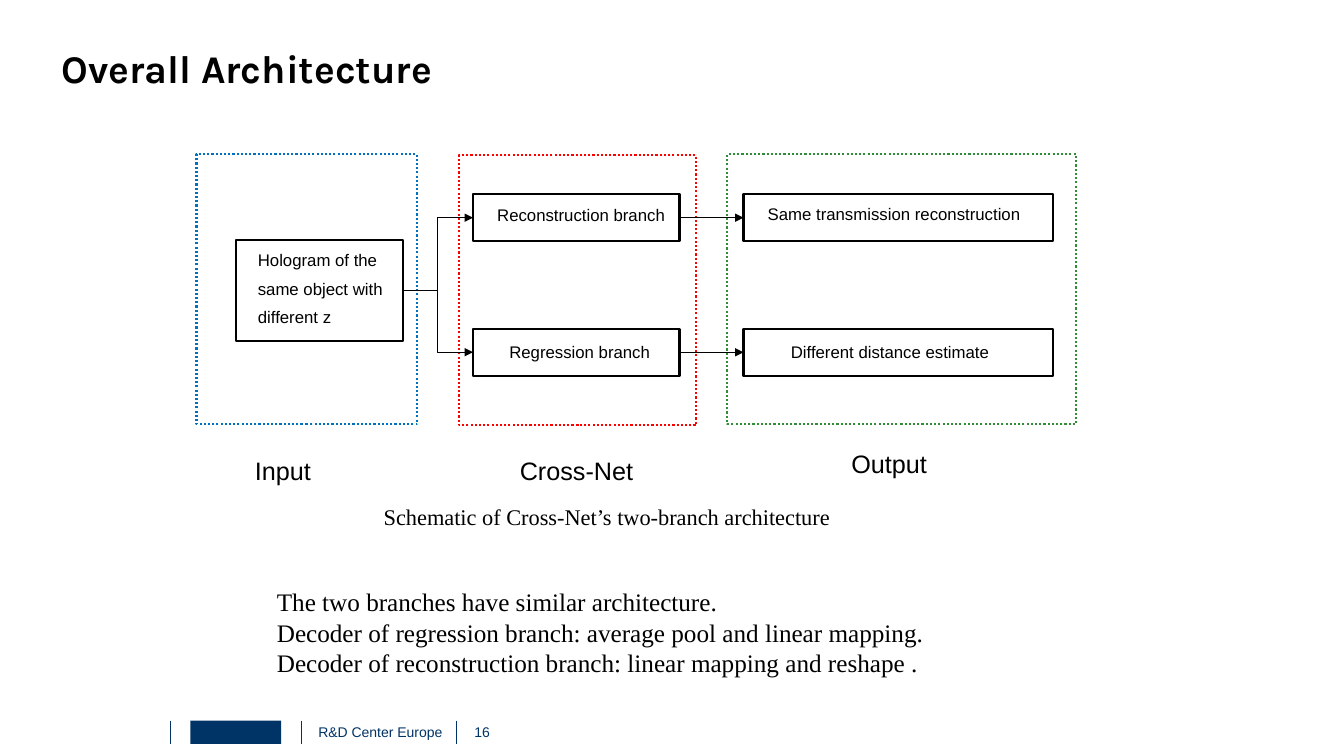
from dataclasses import dataclass

import pptx
import pptx.dml.color
import pptx.enum.dml
import pptx.enum.shapes
import pptx.enum.text
import pptx.oxml.ns
import pptx.util
from lxml import etree

CELL = 0.1  # inches; the slide is a grid of 133.4 columns by 75 rows
COLUMNS, ROWS = 133.4, 75
LEFT_SITE, RIGHT_SITE = 1, 3  # connection sites of a rectangle


@dataclass(frozen=True)
class Theme:
    ink: str = "000000"
    navy: str = "003366"
    input_blue: str = "0070C0"
    network_red: str = "FF0000"
    output_green: str = "318C3A"
    heading_font: str = "Karla"
    diagram_font: str = "Arial"
    prose_font: str = "Times New Roman"
    title_size: int = 28
    body_size: int = 18
    caption_size: int = 16
    box_size: int = 12
    footer_size: int = 10
    outline: float = 1.5
    arrow: float = 0.75
    divider: float = 0.25


THEME = Theme()


def cells(*counts):
    return [pptx.util.Inches(count * CELL) for count in counts]


def rgb(code):
    return pptx.dml.color.RGBColor.from_string(code)


def write(frame, text, *, size, font=THEME.diagram_font, color=THEME.ink, bold=False,
          inset=(0, 0), anchor="TOP", space_before=0):
    """Fill a text frame, one paragraph per line of text."""
    frame.word_wrap = True
    frame.auto_size = pptx.enum.text.MSO_AUTO_SIZE.NONE
    frame.vertical_anchor = getattr(pptx.enum.text.MSO_ANCHOR, anchor)
    frame.margin_left, frame.margin_top = cells(*inset)
    frame.margin_right, frame.margin_bottom = cells(*inset)
    frame.text = text
    for index, paragraph in enumerate(frame.paragraphs):
        paragraph.alignment = pptx.enum.text.PP_ALIGN.LEFT
        paragraph.space_before = pptx.util.Pt(space_before if index else 0)
        paragraph.font.name = font
        paragraph.font.size = pptx.util.Pt(size)
        paragraph.font.bold = bold
        paragraph.font.color.rgb = rgb(color)


def add_text(slide, area, text, **style):
    write(slide.shapes.add_textbox(*cells(*area)).text_frame, text, **style)


def add_title(slide, area, text):
    title = slide.shapes.title
    title.left, title.top, title.width, title.height = cells(*area)
    write(title.text_frame, text, size=THEME.title_size, font=THEME.heading_font,
          bold=True, anchor="BOTTOM")


def add_frame(slide, area, color=THEME.ink, dotted=False):
    """Add an outlined rectangle without fill."""
    frame = slide.shapes.add_shape(pptx.enum.shapes.MSO_SHAPE.RECTANGLE, *cells(*area))
    frame.shadow.inherit = False
    frame.fill.background()
    frame.line.color.rgb = rgb(color)
    frame.line.width = pptx.util.Pt(THEME.outline)
    if dotted:
        frame.line.dash_style = pptx.enum.dml.MSO_LINE.ROUND_DOT
    return frame


def add_line(slide, kind, ends, color, width):
    line = slide.shapes.add_connector(kind, *cells(*ends))
    line.line.color.rgb = rgb(color)
    line.line.width = pptx.util.Pt(width)
    etree.SubElement(line._element.spPr, pptx.oxml.ns.qn("a:effectLst"))
    return line


def add_arrow(slide, source, target, kind):
    arrow = add_line(slide, kind, (0, 0, 0, 0), THEME.ink, THEME.arrow)
    arrow.begin_connect(source, RIGHT_SITE)
    arrow.end_connect(target, LEFT_SITE)
    outline = arrow.line._get_or_add_ln()
    etree.SubElement(outline, pptx.oxml.ns.qn("a:tailEnd"), type="triangle")


def add_stage(slide, area, color, label, label_at):
    add_frame(slide, area, color, dotted=True)
    add_text(slide, (*label_at, 15, 4), label, size=THEME.body_size)


def add_box(slide, area, label, label_at):
    """Add a diagram box whose label starts at the given offset inside it."""
    left, top, width, height = area
    shift, drop = label_at
    box = add_frame(slide, area)
    add_text(slide, (left + shift, top + drop, width - shift, height - drop), label,
             size=THEME.box_size, space_before=6)
    return box


def add_diagram(slide):
    connector = pptx.enum.shapes.MSO_CONNECTOR
    add_stage(slide, (19.5, 15.3, 21.9, 26.8), THEME.input_blue, "Input", (25.3, 45.2))
    add_stage(slide, (45.6, 15.4, 23.5, 26.8), THEME.network_red, "Cross-Net", (51.6, 45.2))
    add_stage(slide, (72.2, 15.3, 34.6, 26.8), THEME.output_green, "Output", (84.5, 44.5))

    hologram = add_box(slide, (23.4, 23.8, 16.6, 10),
                       "Hologram of the\nsame object with\ndifferent z", (2.2, 1))
    branches = (
        (19.25, "Reconstruction branch", (2.4, 1.1),
         "Same transmission reconstruction", (2.4, 1)),
        (32.6, "Regression branch", (3.6, 1.3),
         "Different distance estimate", (4.7, 1.3)),
    )
    for row, branch_name, branch_offset, result_name, result_offset in branches:
        branch = add_box(slide, (46.95, row, 20.5, 4.7), branch_name, branch_offset)
        result = add_box(slide, (73.8, row, 30.7, 4.7), result_name, result_offset)
        add_arrow(slide, hologram, branch, connector.ELBOW)
        add_arrow(slide, branch, result, connector.STRAIGHT)


def add_footer(slide):
    for column in (16.9, 29.9, 45.3):
        add_line(slide, pptx.enum.shapes.MSO_CONNECTOR.STRAIGHT,
                 (column, 71.5, column, 73.8), THEME.navy, THEME.divider)
    emblem = add_frame(slide, (18.9, 71.5, 9, 2.3), THEME.navy)
    emblem.fill.solid()
    emblem.fill.fore_color.rgb = rgb(THEME.navy)
    emblem.line.fill.background()
    for column, width, text in ((31.6, 13.5, "R&D Center Europe"), (47.1, 11, "16")):
        add_text(slide, (column, 71.8, width, 1.7), text, size=THEME.footer_size,
                 color=THEME.navy, anchor="MIDDLE")


def main():
    deck = pptx.Presentation()
    deck.slide_width, deck.slide_height = cells(COLUMNS, ROWS)
    slide = deck.slides.add_slide(deck.slide_layouts.get_by_name("Title Only"))
    add_title(slide, (6.1, 4.4, 39.6, 4.7), "Overall Architecture")
    add_diagram(slide)
    add_text(slide, (37.1, 49.4, 96.3, 3.7),
             "Schematic of Cross-Net’s two-branch architecture",
             size=THEME.caption_size, font=THEME.prose_font, inset=(1, 0.5))
    add_text(slide, (26.5, 57.7, 83.3, 12.5),
             "The two branches have similar architecture.\n"
             "Decoder of regression branch: average pool and linear mapping.\n"
             "Decoder of reconstruction branch: linear mapping and reshape .",
             size=THEME.body_size, font=THEME.prose_font, inset=(1, 0.5))
    add_footer(slide)
    deck.save("out.pptx")


if __name__ == "__main__":
    main()
